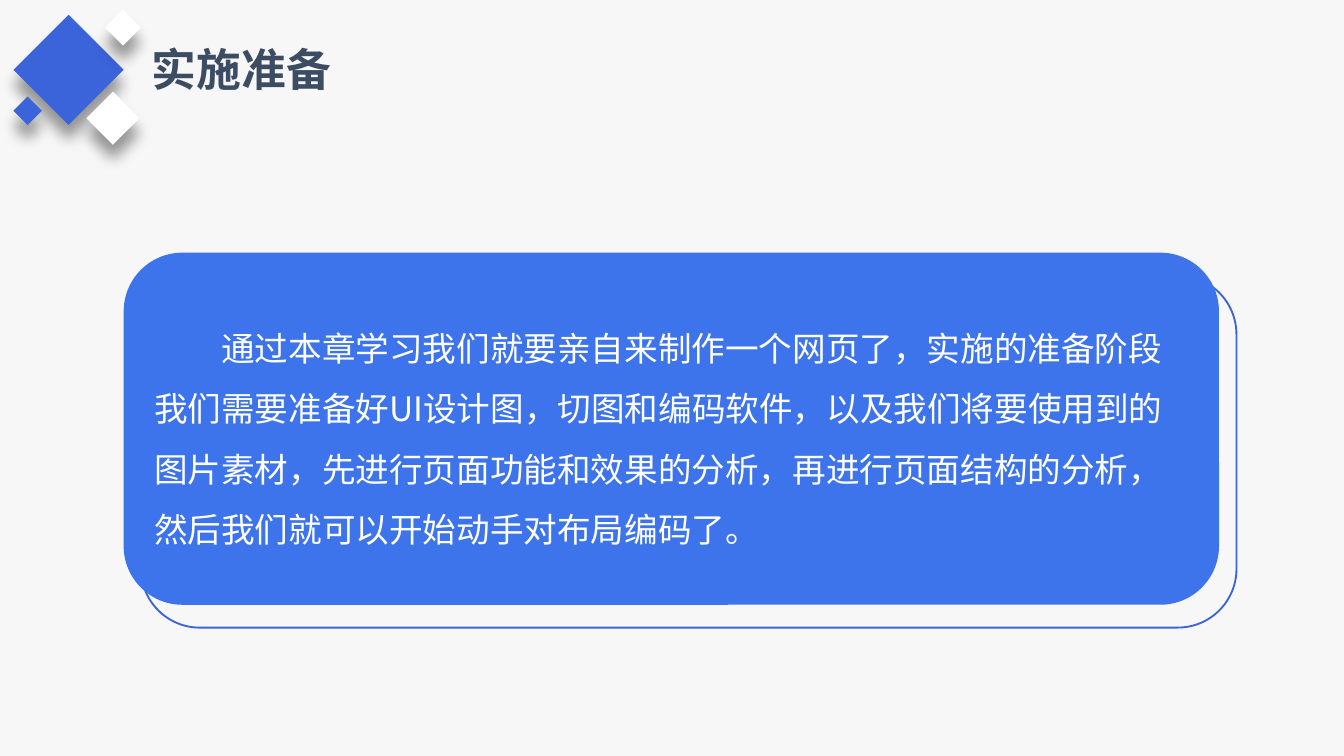
import pptx
import pptx.dml.color
import pptx.enum.shapes
import pptx.enum.text
import pptx.oxml
import pptx.oxml.ns
import pptx.util
from pptx.util import Inches

FONT = "Noto Sans CJK SC"
COLORS = {
    "background": "F7F7F7",
    "accent": "3B64DA",
    "panel": "3D74EB",
    "title": "3C4D63",
    "white": "FFFFFF",
    "shadow": "000000",
}
TITLE = "实施准备"
SUMMARY = (
    "通过本章学习我们就要亲自来制作一个网页了，实施的准备阶段"
    "我们需要准备好UI设计图，切图和编码软件，以及我们将要使用到的"
    "图片素材，先进行页面功能和效果的分析，再进行页面结构的分析，"
    "然后我们就可以开始动手对布局编码了。"
)
PANEL_WIDTH, PANEL_HEIGHT = 8.15, 2.62


def rgb(name):
    return pptx.dml.color.RGBColor.from_string(COLORS[name])


def format_runs(paragraph, size, color, bold=False):
    for run in paragraph.runs:
        run.font.size = pptx.util.Pt(size)
        run.font.bold = bold
        run.font.color.rgb = rgb(color)
        run.font.name = FONT
        # East Asian glyphs take their font from a:ea
        east_asian = pptx.oxml.parse_xml(
            f'<a:ea {pptx.oxml.ns.nsdecls("a")} typeface="{FONT}"/>')
        run.font._element.find(pptx.oxml.ns.qn("a:latin")).addnext(east_asian)


def add_block(slide, kind, left, top, width, height, fill=None, line=None):
    block = slide.shapes.add_shape(
        kind, Inches(left), Inches(top), Inches(width), Inches(height))
    block.shadow.inherit = False
    if fill:
        block.fill.solid()
        block.fill.fore_color.rgb = rgb(fill)
    else:
        block.fill.background()
    if line:
        block.line.color.rgb = rgb(line)
        block.line.width = pptx.util.Pt(1)
    else:
        block.line.fill.background()
    return block


def add_diamond(slide, left, top, side, fill):
    diamond = add_block(slide, pptx.enum.shapes.MSO_SHAPE.RECTANGLE,
                        left, top, side, side, fill=fill)
    diamond.rotation = 45
    # Soft shadow falling straight down
    effects = diamond._element.spPr.find(pptx.oxml.ns.qn("a:effectLst"))
    effects.append(pptx.oxml.parse_xml(
        f'<a:outerShdw {pptx.oxml.ns.nsdecls("a")} blurRad="{pptx.util.Pt(8)}" '
        f'dist="{pptx.util.Pt(8)}" dir="5400000" algn="t" rotWithShape="0">'
        f'<a:srgbClr val="{COLORS["shadow"]}"><a:alpha val="40000"/></a:srgbClr>'
        '</a:outerShdw>'))


def add_panel(slide, left, top, **style):
    return add_block(slide, pptx.enum.shapes.MSO_SHAPE.ROUNDED_RECTANGLE,
                     left, top, PANEL_WIDTH, PANEL_HEIGHT, **style)


def set_title(slide):
    title = slide.shapes.title
    title.left, title.top = Inches(1.03), Inches(0.26)
    title.width, title.height = Inches(1.54), Inches(0.5)
    frame = title.text_frame
    frame.text = TITLE
    frame.word_wrap = False
    frame.auto_size = pptx.enum.text.MSO_AUTO_SIZE.NONE
    frame.vertical_anchor = pptx.enum.text.MSO_ANCHOR.MIDDLE
    heading = frame.paragraphs[0]
    heading.alignment = pptx.enum.text.PP_ALIGN.LEFT
    format_runs(heading, 24, "title", bold=True)


def set_summary(panel):
    frame = panel.text_frame
    frame.text = SUMMARY
    frame.word_wrap = True
    frame.vertical_anchor = pptx.enum.text.MSO_ANCHOR.MIDDLE
    summary = frame.paragraphs[0]
    summary.alignment = pptx.enum.text.PP_ALIGN.LEFT
    summary.line_spacing = 1.5
    # First-line indent
    properties = summary._p.get_or_add_pPr()
    properties.set("marL", "0")
    properties.set("indent", str(Inches(0.5)))
    format_runs(summary, 18, "white")


def main():
    deck = pptx.Presentation()
    # Widescreen 16:9
    deck.slide_width = Inches(10)
    deck.slide_height = Inches(10) * 9 // 16
    slide = deck.slides.add_slide(deck.slide_layouts.get_by_name("Title Only"))
    slide.background.fill.solid()
    slide.background.fill.fore_color.rgb = rgb("background")

    # Outline behind the panel
    add_panel(slide, 1.05, 2.05, line="accent")

    # Heading with its diamond ornament
    set_title(slide)
    for left, top, side, fill in (
        (0.22, 0.23, 0.58, "accent"),
        (0.7, 0.74, 0.28, "white"),
        (0.82, 0.11, 0.19, "white"),
        (0.13, 0.75, 0.15, "accent"),
    ):
        add_diamond(slide, left, top, side, fill)

    # Summary panel
    set_summary(add_panel(slide, 0.92, 1.88, fill="panel"))

    deck.save("out.pptx")


if __name__ == "__main__":
    main()
